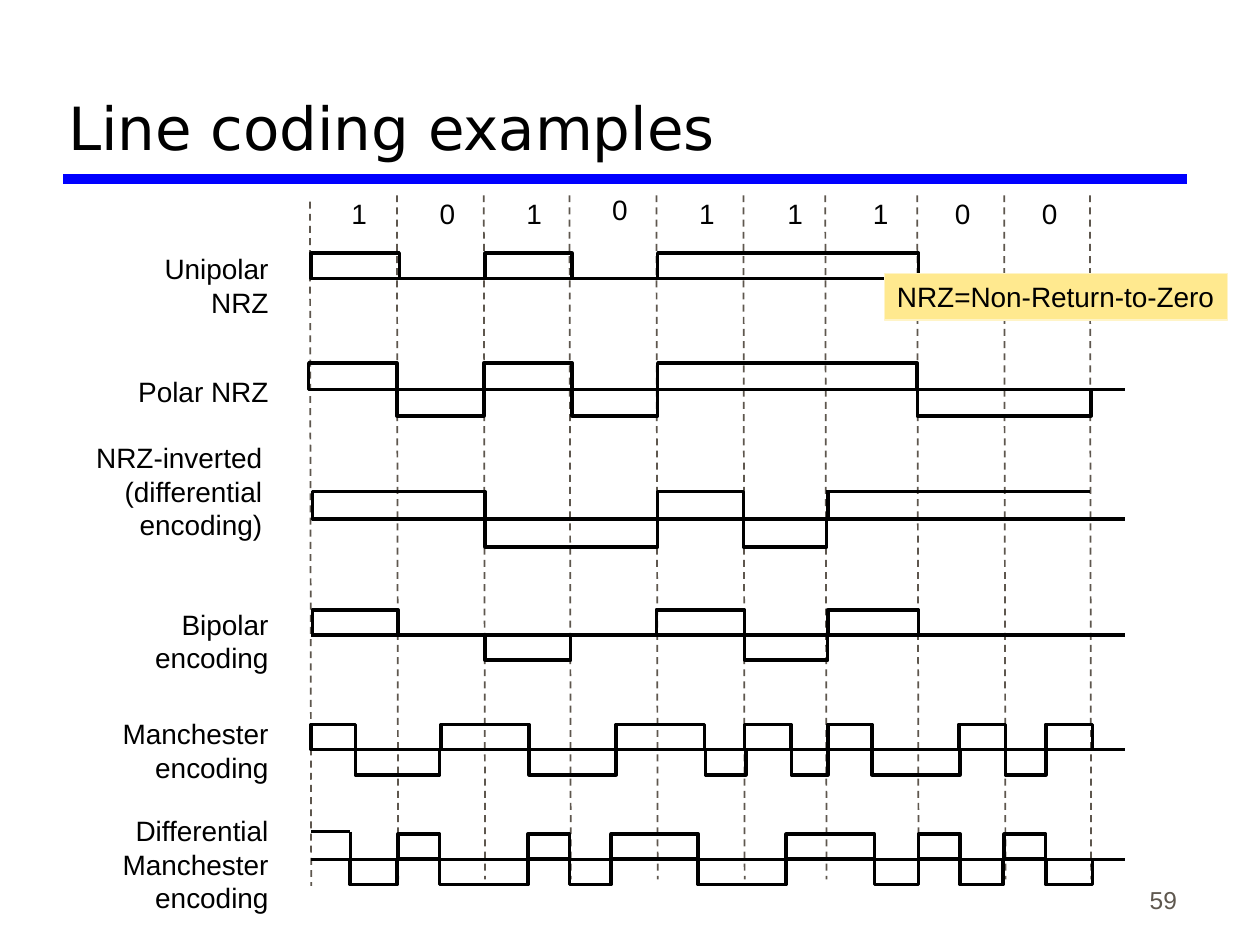
"""Build the slide comparing line coding schemes as waveforms."""
from dataclasses import dataclass

from lxml.etree import SubElement
from pptx import Presentation
from pptx.dml.color import RGBColor
from pptx.enum.dml import MSO_LINE
from pptx.enum.shapes import MSO_CONNECTOR, MSO_SHAPE
from pptx.enum.text import MSO_ANCHOR, PP_ALIGN
from pptx.oxml.ns import qn
from pptx.util import Pt

PX = 9144
BLACK, GREY, BLUE = "000000", "5E574E", "0000FF"
BIT_EDGES = (246, 315, 384, 452, 521, 590, 655, 728, 797, 865)
BITS = "101011100"
BIT_LEFTS = (269, 339, 408, 476, 545, 615, 683, 748, 817)


@dataclass
class Label:
    """A text box with one paragraph per line."""
    text: str
    left: int
    top: int
    width: int
    height: int
    align: PP_ALIGN = PP_ALIGN.RIGHT
    size: int = 16
    color: str = BLACK
    anchor: MSO_ANCHOR = MSO_ANCHOR.TOP


@dataclass
class Signal:
    """A waveform: pulses span start to end above or below the baseline."""
    label: Label
    baseline: int
    highs: tuple
    lows: tuple = ()
    strokes: tuple = ()
    start: int = 247
    height: int = 20


SIGNALS = (
    Signal(Label("Unipolar\nNRZ", 83, 195, 140, 63), 221,
           ((247, 317), (385, 454), (522, 729))),
    Signal(Label("Polar NRZ", 83, 292, 140, 36), 309,
           ((245, 315), (384, 454), (522, 728)),
           ((315, 384), (454, 522), (728, 866)), start=249, height=21),
    Signal(Label("NRZ-inverted\n(differential\nencoding)", 58, 345, 160, 90), 412,
           ((248, 385), (522, 590)), ((385, 522), (590, 656)),
           ((657, 412, 657, 389), (656, 390, 865, 390)), start=249, height=22),
    Signal(Label("Bipolar\nencoding", 83, 477, 140, 63), 504,
           ((248, 316), (521, 591), (657, 729)), ((385, 453), (591, 657))),
    Signal(Label("Manchester\nencoding", 83, 564, 140, 63), 595,
           ((247, 282), (350, 420), (489, 559), (591, 628), (657, 692),
            (761, 798), (830, 867)),
           ((282, 349), (420, 489), (560, 592), (628, 657), (692, 762),
            (798, 830))),
    Signal(Label("Differential\nManchester\nencoding", 83, 641, 140, 90), 682,
           ((316, 349), (419, 452), (485, 554), (624, 694), (729, 762),
            (797, 830)),
           ((278, 315), (349, 419), (452, 485), (554, 624), (694, 729),
            (762, 796), (830, 867)),
           ((247, 660, 278, 660), (278, 660, 278, 681))),
)


def rgb(color: str) -> RGBColor:
    """Turn a hex string into a colour."""
    return RGBColor.from_string(color)


def write(tf, text: str, size: int, color: str, align: PP_ALIGN,
          font: str = "Arial") -> None:
    """Fill a text frame and format each paragraph."""
    tf.text = text
    for p in tf.paragraphs:
        p.alignment = align
        p.font.name, p.font.size = font, Pt(size)
        p.font.color.rgb = rgb(color)


def add_label(s, label: Label) -> None:
    """Draw a text box."""
    box = (label.left, label.top, label.width, label.height)
    tf = s.shapes.add_textbox(*(v * PX for v in box)).text_frame
    tf.word_wrap = True
    tf.vertical_anchor = label.anchor
    write(tf, label.text, label.size, label.color, label.align)


def add_line(s, x1: int, y1: int, x2: int, y2: int, color: str = BLACK,
             width: float = 2, dashed: bool = False) -> None:
    """Draw a straight line without a shadow."""
    line = s.shapes.add_connector(
        MSO_CONNECTOR.STRAIGHT, *(v * PX for v in (x1, y1, x2, y2)))
    line.line.color.rgb = rgb(color)
    line.line.width = Pt(width)
    if dashed:
        line.line.dash_style = MSO_LINE.DASH
    SubElement(line._element.spPr, qn("a:effectLst"))


def add_rect(s, left: int, top: int, width: int, height: int,
             line: str = BLACK, weight: float = 2, fill: str = ""):
    """Draw a rectangle, hollow unless a fill is given."""
    sp = s.shapes.add_shape(
        MSO_SHAPE.RECTANGLE, *(v * PX for v in (left, top, width, height)))
    sp.shadow.inherit = False
    sp.line.color.rgb = rgb(line)
    sp.line.width = Pt(weight)
    if fill:
        sp.fill.solid()
        sp.fill.fore_color.rgb = rgb(fill)
    else:
        sp.fill.background()
    return sp


def add_signal(s, signal: Signal) -> None:
    """Draw the label, baseline and pulses of one signal."""
    base, height = signal.baseline, signal.height
    add_label(s, signal.label)
    add_line(s, signal.start, base, 893, base)
    for pulses, top in ((signal.highs, base - height), (signal.lows, base)):
        for start, end in pulses:
            add_rect(s, start, top, end - start, height)
    for stroke in signal.strokes:
        add_line(s, *stroke)


def add_title(s) -> None:
    """Place the title and the rule under it."""
    sp = s.shapes.title
    sp.left, sp.top, sp.width, sp.height = (v * PX for v in (44, 17, 897, 117))
    sp.text_frame.vertical_anchor = MSO_ANCHOR.BOTTOM
    write(sp.text_frame, "Line coding examples", 34, BLACK, PP_ALIGN.LEFT,
          "DejaVu Sans")
    add_line(s, 50, 142, 942, 142, BLUE, 6)


def add_bits(s) -> None:
    """Draw the bit boundaries and the bit values."""
    for i, x in enumerate(BIT_EDGES):
        top = 155 if i else 160
        add_line(s, x, top, x + 1, top + 543, GREY, 1, True)
    for i, (bit, left) in enumerate(zip(BITS, BIT_LEFTS)):
        add_label(s, Label(bit, left, 148 if i == 3 else 151, 34, 36,
                           PP_ALIGN.LEFT))


def add_callout(s) -> None:
    """Draw the note that spells out the abbreviation."""
    tf = add_rect(s, 702, 217, 272, 37, "FFF4C7", 0.75, "FFE98F").text_frame
    tf.word_wrap = False
    tf.vertical_anchor = MSO_ANCHOR.TOP
    write(tf, "NRZ=Non-Return-to-Zero", 16, BLACK, PP_ALIGN.LEFT)


def main() -> None:
    """Build and save the slide."""
    prs = Presentation()
    prs.slide_width, prs.slide_height = 1000 * PX, 750 * PX
    s = prs.slides.add_slide(prs.slide_layouts[5])
    add_title(s)
    add_label(s, Label("59", 736, 681, 208, 50, size=14, color=GREY,
                       anchor=MSO_ANCHOR.BOTTOM))
    add_bits(s)
    for signal in SIGNALS:
        add_signal(s, signal)
    add_callout(s)
    prs.save("out.pptx")


if __name__ == "__main__":
    main()
